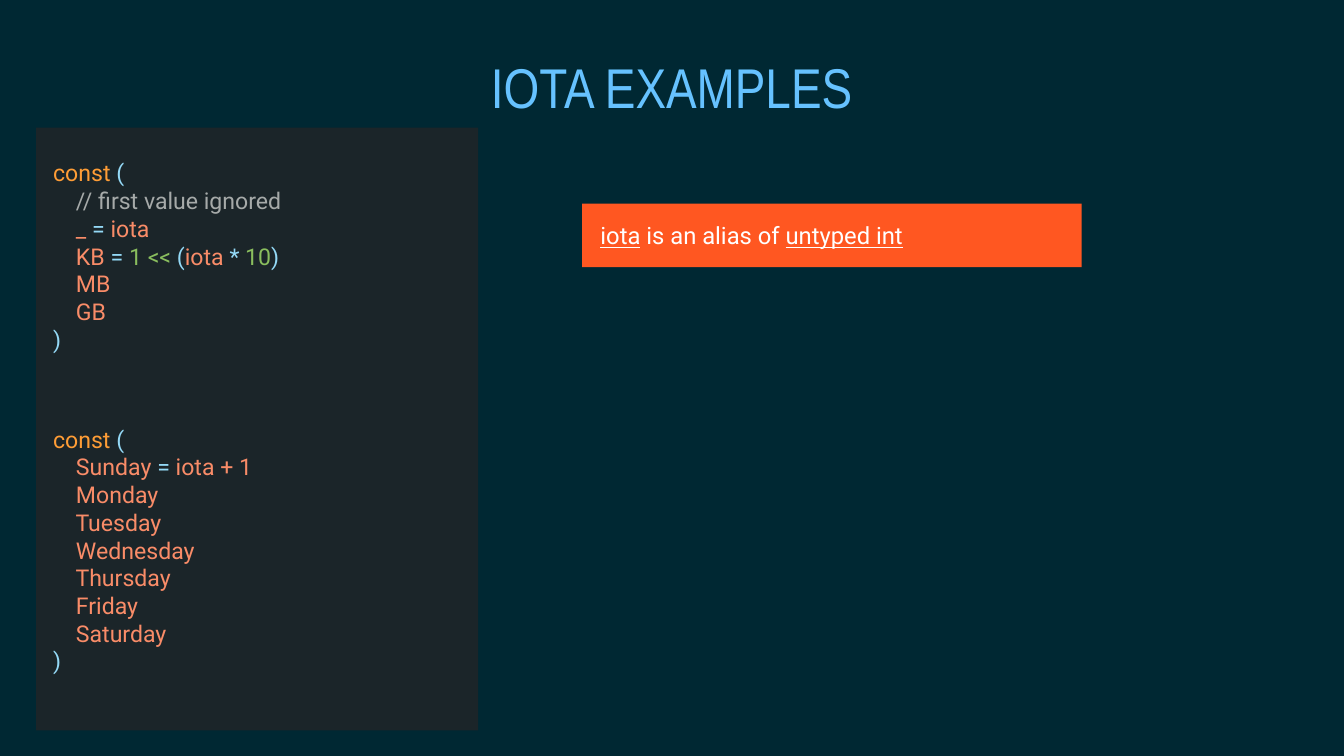
from dataclasses import dataclass

from pptx import Presentation
from pptx.dml.color import RGBColor
from pptx.enum.shapes import MSO_SHAPE
from pptx.enum.text import MSO_ANCHOR, MSO_AUTO_SIZE, PP_ALIGN
from pptx.shapes.autoshape import Shape
from pptx.text.text import TextFrame
from pptx.util import Pt

COLORS = {
    "background": "002833",
    "title": "66C2FF",
    "panel": "1B2529",
    "banner": "FF5721",
    "white": "FFFFFF",
    "keyword": "FF9D36",
    "symbol": "94D9F6",
    "comment": "A6AAA9",
    "name": "F98C68",
    "number": "8ABE5E",
}
INSET = 6
INDENT = "    "


@dataclass(frozen=True)
class Box:
    left: float
    top: float
    width: float
    height: float

    def lengths(self) -> tuple:
        return Pt(self.left), Pt(self.top), Pt(self.width), Pt(self.height)


@dataclass(frozen=True)
class Token:
    text: str
    color: str
    underline: bool = False


@dataclass(frozen=True)
class TextBlock:
    box: Box
    size: float
    lines: list[list[Token]]


def name_lines(*names: str) -> list[list[Token]]:
    return [[Token(INDENT + name, "name")] for name in names]


OPENING = [Token("const ", "keyword"), Token("(", "symbol")]
CLOSING = [Token(")", "symbol")]

CODE_BLOCKS = [
    TextBlock(Box(69.84, 202.3, 548.6, 326.2), 33, [
        OPENING,
        [Token(INDENT + "// first value ignored", "comment")],
        [Token(INDENT + "_ ", "name"), Token("= ", "symbol"), Token("iota", "name")],
        [Token(INDENT + "KB ", "name"), Token("= ", "symbol"), Token("1 << ", "number"),
         Token("(", "symbol"), Token("iota ", "name"), Token("* ", "symbol"),
         Token("10", "number"), Token(")", "symbol")],
        *name_lines("MB", "GB"),
        CLOSING,
    ]),
    TextBlock(Box(69.84, 577.4, 449.3, 416.2), 33, [
        OPENING,
        [Token(INDENT + "Sunday ", "name"), Token("= ", "symbol"), Token("iota + 1", "name")],
        *name_lines("Monday", "Tuesday", "Wednesday", "Thursday", "Friday", "Saturday"),
        CLOSING,
    ]),
]
ALIAS_NOTE = TextBlock(Box(851.8, 307.4, 673.9, 57.6), 34, [[
    Token("iota", "white", True),
    Token(" is an alias of ", "white"),
    Token("untyped int", "white", True),
]])


def color(name: str) -> RGBColor:
    return RGBColor.from_string(COLORS[name])


def set_frame(text_frame: TextFrame, anchor: MSO_ANCHOR) -> None:
    text_frame.word_wrap = True
    text_frame.auto_size = MSO_AUTO_SIZE.NONE
    text_frame.vertical_anchor = anchor
    text_frame.margin_left = text_frame.margin_right = Pt(INSET)
    text_frame.margin_top = text_frame.margin_bottom = Pt(INSET)


def add_rectangle(shapes, box: Box, fill: str) -> Shape:
    shape = shapes.add_shape(MSO_SHAPE.RECTANGLE, *box.lengths())
    shape.shadow.inherit = False
    shape.fill.solid()
    shape.fill.fore_color.rgb = color(fill)
    shape.line.fill.background()
    return shape


def add_text_block(shapes, block: TextBlock) -> None:
    text_frame = shapes.add_textbox(*block.box.lengths()).text_frame
    set_frame(text_frame, MSO_ANCHOR.MIDDLE)
    for index, line in enumerate(block.lines):
        paragraph = text_frame.add_paragraph() if index else text_frame.paragraphs[0]
        for token in line:
            run = paragraph.add_run()
            run.text = token.text
            run.font.name = "Roboto"
            run.font.size = Pt(block.size)
            run.font.color.rgb = color(token.color)
            run.font.underline = token.underline


def format_title(title: Shape, box: Box) -> None:
    title.left, title.top, title.width, title.height = box.lengths()
    text_frame = title.text_frame
    text_frame.text = "IOTA EXAMPLES"
    set_frame(text_frame, MSO_ANCHOR.TOP)
    paragraph = text_frame.paragraphs[0]
    paragraph.alignment = PP_ALIGN.CENTER
    paragraph.line_spacing = 0.8
    font = paragraph.runs[0].font
    font.name = "Arial Narrow"
    font.size = Pt(80)
    font.color.rgb = color("title")


def main() -> None:
    presentation = Presentation()
    presentation.slide_width, presentation.slide_height = Pt(1920), Pt(1080)
    slide = presentation.slides.add_slide(presentation.slide_layouts[5])
    slide.background.fill.solid()
    slide.background.fill.fore_color.rgb = color("background")

    format_title(slide.shapes.title, Box(653, 87.8, 613.4, 101.5))
    add_rectangle(slide.shapes, Box(51.8, 182.2, 631.4, 861.1), "panel")
    for block in CODE_BLOCKS:
        add_text_block(slide.shapes, block)

    banner = slide.shapes.add_group_shape()
    add_rectangle(banner.shapes, Box(831.6, 290.9, 713.5, 90.7), "banner")
    add_text_block(banner.shapes, ALIAS_NOTE)

    presentation.save("out.pptx")


if __name__ == "__main__":
    main()
